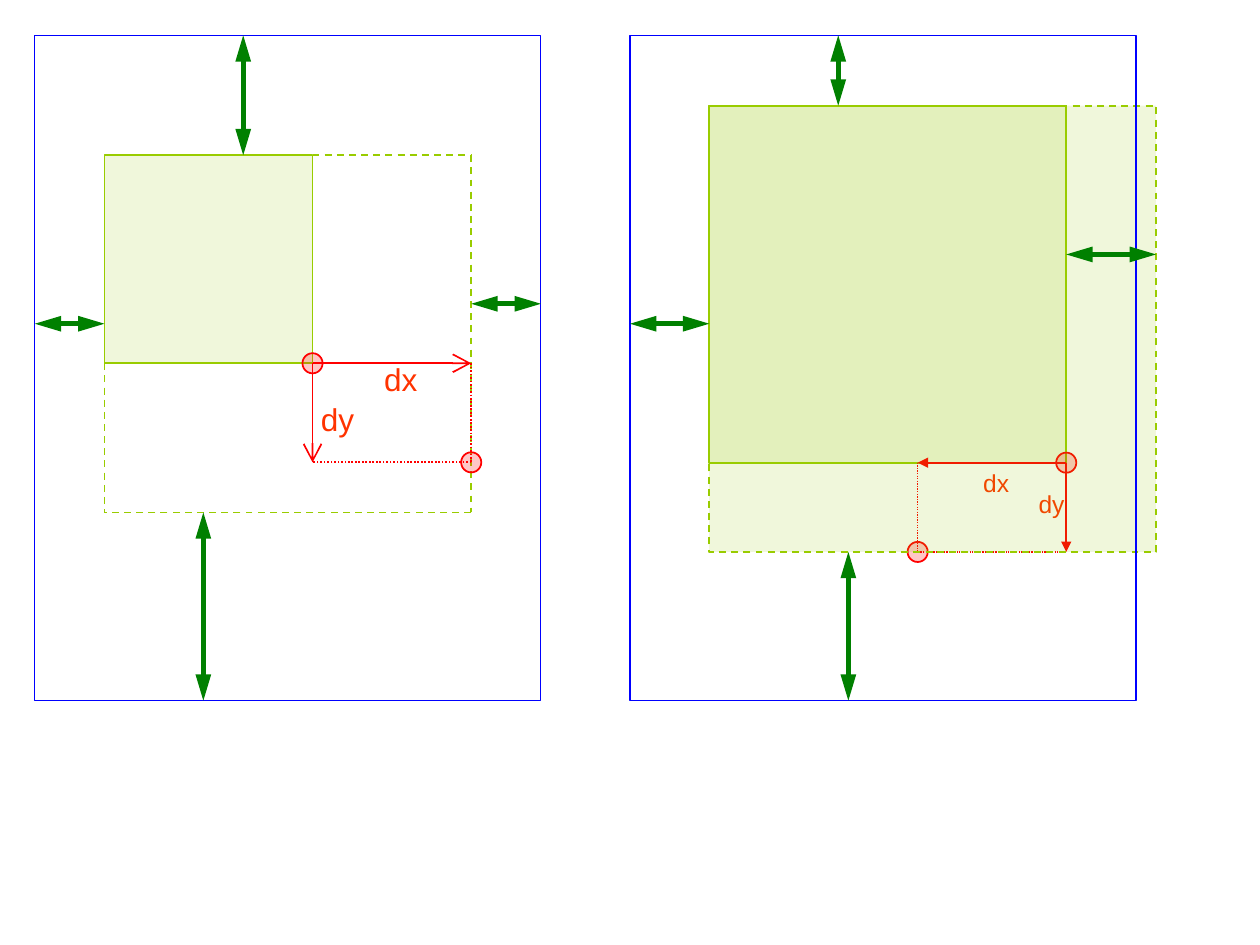
"""Draw two page frames with a box resized by dx and dy and its margins."""
import pptx
import pptx.util
import pptx.dml.color
import pptx.enum.dml
import pptx.enum.shapes
import pptx.enum.text
import pptx.oxml.ns

Pt = pptx.util.Pt
RGB = pptx.dml.color.RGBColor
Dash = pptx.enum.dml.MSO_LINE
Kind = pptx.enum.shapes.MSO_SHAPE
qn = pptx.oxml.ns.qn

LIME = RGB(0x99, 0xCC, 0x00)
RED = RGB(0xFF, 0x00, 0x00)
ORANGE = RGB(0xFF, 0x33, 0x00)
BLUE = RGB(0x00, 0x00, 0xFF)
GREEN = RGB(0x00, 0x80, 0x00)

SIZE = (720, 540)
TOP, WIDE, TALL = 20.2, 289.2, 380.2
BASE = TOP + TALL
LEFT, RIGHT = 19.9, 360
DOT = 11.5

STYLES = {
    "edge": (LIME, 1, Dash.DASH, ()),
    "open": (RED, 1, None, (("tailEnd", "arrow", "lg", "lg"),)),
    "move": (RED, 1, None, (("tailEnd", "triangle", "med", "med"),)),
    "guide": (RED, 1, Dash.ROUND_DOT, ()),
    "thin": (RED, 0.75, Dash.ROUND_DOT, ()),
    "gap": (GREEN, 3, None, (("headEnd", "triangle", "med", "lg"),
                             ("tailEnd", "triangle", "med", "lg"))),
}

X1, X2, X3 = 59.7, 178.6, 269.3
Y1, Y2, Y3, Y4 = 88.7, 207.6, 264.2, 292.8
U1, U2, U3, U4 = 405.3, 524.4, 609.3, 660.6
V1, V2, V3 = 60.4, 264.4, 315.4

BOX = [
    ("rect", (X1, Y1, X2 - X1, Y2 - Y1), LIME, 1, None, 14),
    ("edge", X2, Y1, X3, Y1),
    ("edge", X1, Y2, X1, Y4),
    ("edge", X3, Y1, X3, Y4),
    ("edge", X3, Y4, X1, Y4),
]
SHIFT = [
    ("open", X2, Y2, X3, Y2),
    ("open", X2, Y2, X2, Y3),
    ("guide", X3, Y2, X3, Y3),
    ("guide", X3, Y3, X2, Y3),
    ("dot", X2, Y2),
    ("dot", X3, Y3),
    ("text", "dx", 18, (212.4, 202.2, 33.6, 28.8)),
    ("text", "dy", 18, (176.2, 225, 33.6, 28.8)),
]
GAPS = [
    ("rect", (LEFT, TOP, WIDE, TALL), BLUE, 0.75, None, None),
    ("gap", LEFT, 185, X1, 185),
    ("gap", X3, 173.6, LEFT + WIDE, 173.6),
    ("gap", 139, TOP, 139, Y1),
    ("gap", 116.2, Y4, 116.2, BASE),
]
OTHER = [
    ("rect", (U1, V1, U3 - U1, V2 - V1), LIME, 1, None, 14),
    ("dot", U3, V2),
    ("move", U3, V2, U2, V2),
    ("move", U3, V2, U3, V3),
    ("dot", U2, V3),
    ("thin", U2, V2, U2, V3),
    ("thin", U3, V3, U2, V3),
    ("text", "dx", 14, (554.8, 263.8, 30, 24.4)),
    ("text", "dy", 14, (586.4, 276, 30, 24.4)),
    ("rect", (U1, V1, U4 - U1, V3 - V1), LIME, 1, Dash.DASH, 14),
    ("rect", (RIGHT, TOP, WIDE, TALL), BLUE, 0.75, None, None),
    ("gap", 479, TOP, 479, V1),
    ("gap", U4, 145.4, U3, 145.4),
    ("gap", RIGHT, 185, U1, 185),
    ("gap", 484.8, V3, 484.8, BASE),
]


def stroke(item, tone, weight, dash):
    item.line.color.rgb = tone
    item.line.width = Pt(weight)
    if dash:
        item.line.dash_style = dash


def add_form(shapes, kind, at, tone, weight, dash, alpha):
    item = shapes.add_shape(kind, *map(Pt, at))
    item.shadow.inherit = False
    stroke(item, tone, weight, dash)
    if alpha is None:
        item.fill.background()
        return
    item.fill.solid()
    item.fill.fore_color.rgb = tone
    clr = item.element.spPr.find(qn("a:solidFill")).find(qn("a:srgbClr"))
    clr.append(clr.makeelement(qn("a:alpha"), {"val": str(alpha * 1000)}))


def add_line(shapes, style, ends):
    tone, weight, dash, heads = STYLES[style]
    item = shapes.add_connector(
        pptx.enum.shapes.MSO_CONNECTOR.STRAIGHT, *map(Pt, ends))
    stroke(item, tone, weight, dash)
    props = item.element.spPr
    line = props.find(qn("a:ln"))
    for end, kind, wide, long in heads:
        line.append(line.makeelement(
            qn("a:" + end), {"type": kind, "w": wide, "len": long}))
    props.append(props.makeelement(qn("a:effectLst"), {}))


def add_text(shapes, words, size, at):
    frame = shapes.add_textbox(*map(Pt, at)).text_frame
    frame.word_wrap = False
    frame.auto_size = pptx.enum.text.MSO_AUTO_SIZE.SHAPE_TO_FIT_TEXT
    para = frame.paragraphs[0]
    para.text = words
    para.font.name = "Arial"
    para.font.size = Pt(size)
    para.font.color.rgb = ORANGE


def draw(shapes, parts):
    for kind, *args in parts:
        if kind == "rect":
            add_form(shapes, Kind.RECTANGLE, *args)
        elif kind == "dot":
            x, y = args
            at = (x - DOT / 2, y - DOT / 2, DOT, DOT)
            add_form(shapes, Kind.OVAL, at, RED, 1, None, 22)
        elif kind == "text":
            add_text(shapes, *args)
        else:
            add_line(shapes, kind, args)


def main():
    deck = pptx.Presentation()
    deck.slide_width, deck.slide_height = map(Pt, SIZE)
    shapes = deck.slides.add_slide(deck.slide_layouts[6]).shapes
    for parts in (BOX, SHIFT):
        draw(shapes.add_group_shape().shapes, parts)
    draw(shapes, GAPS)
    draw(shapes.add_group_shape().shapes, OTHER)
    deck.save("out.pptx")


if __name__ == "__main__":
    main()
